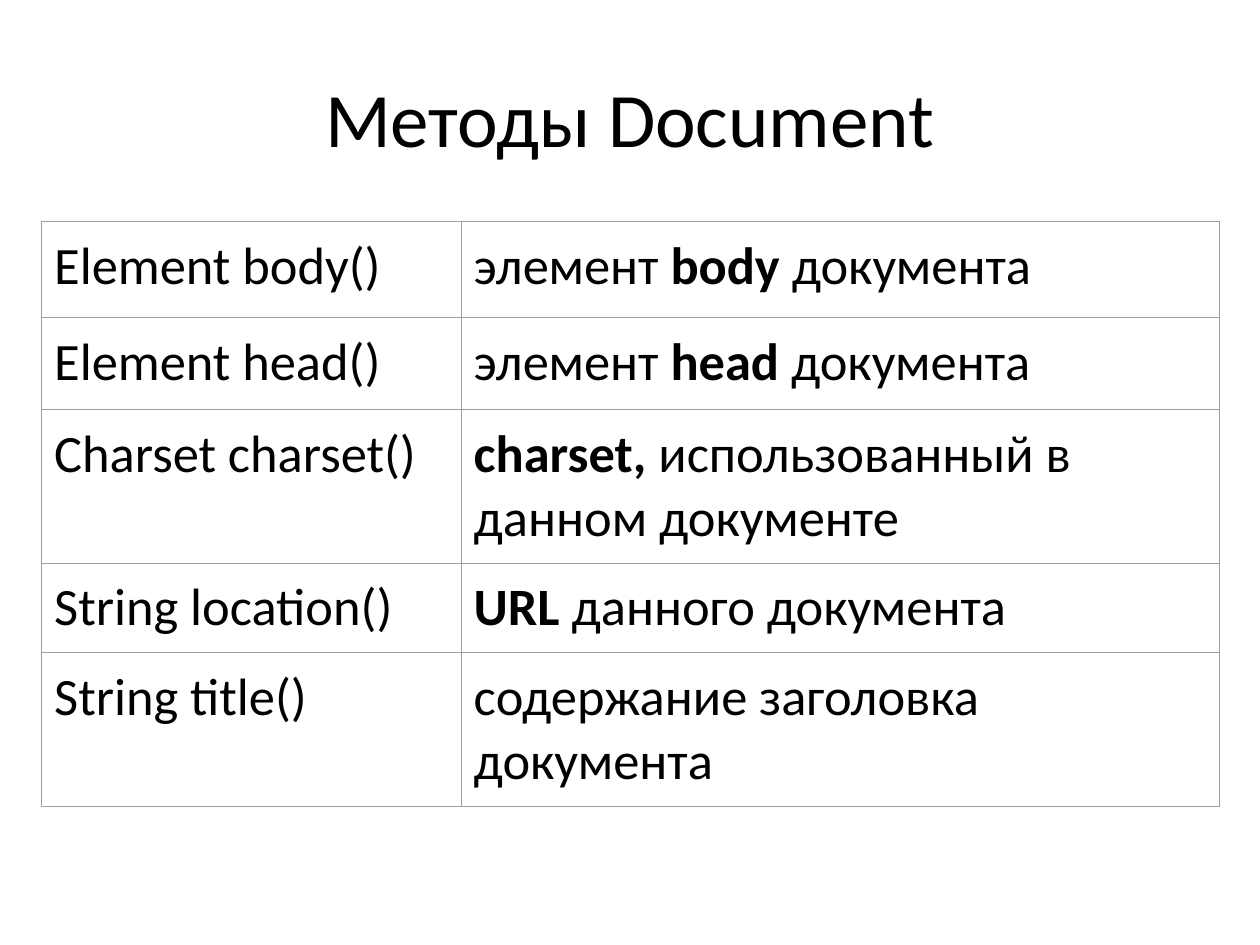
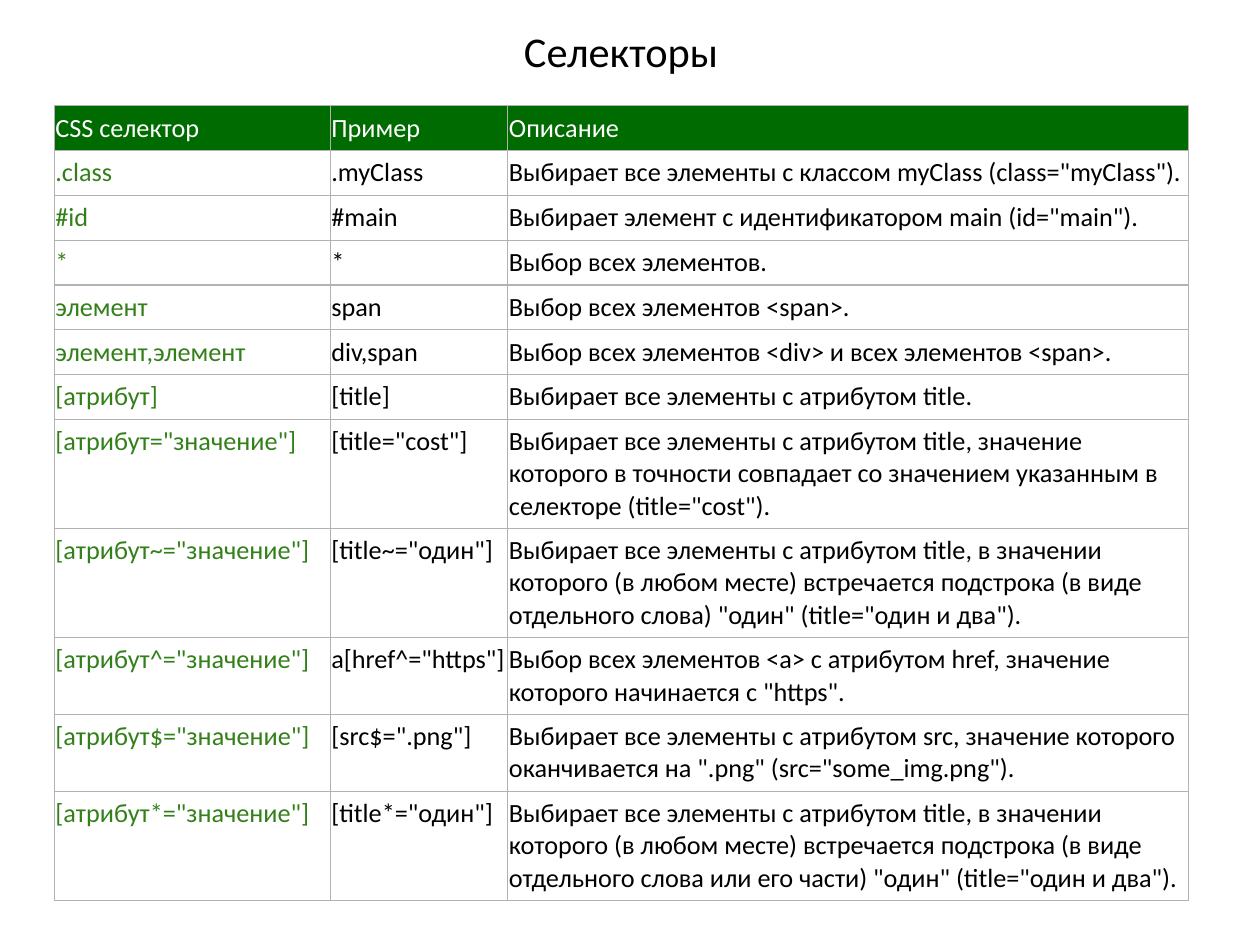
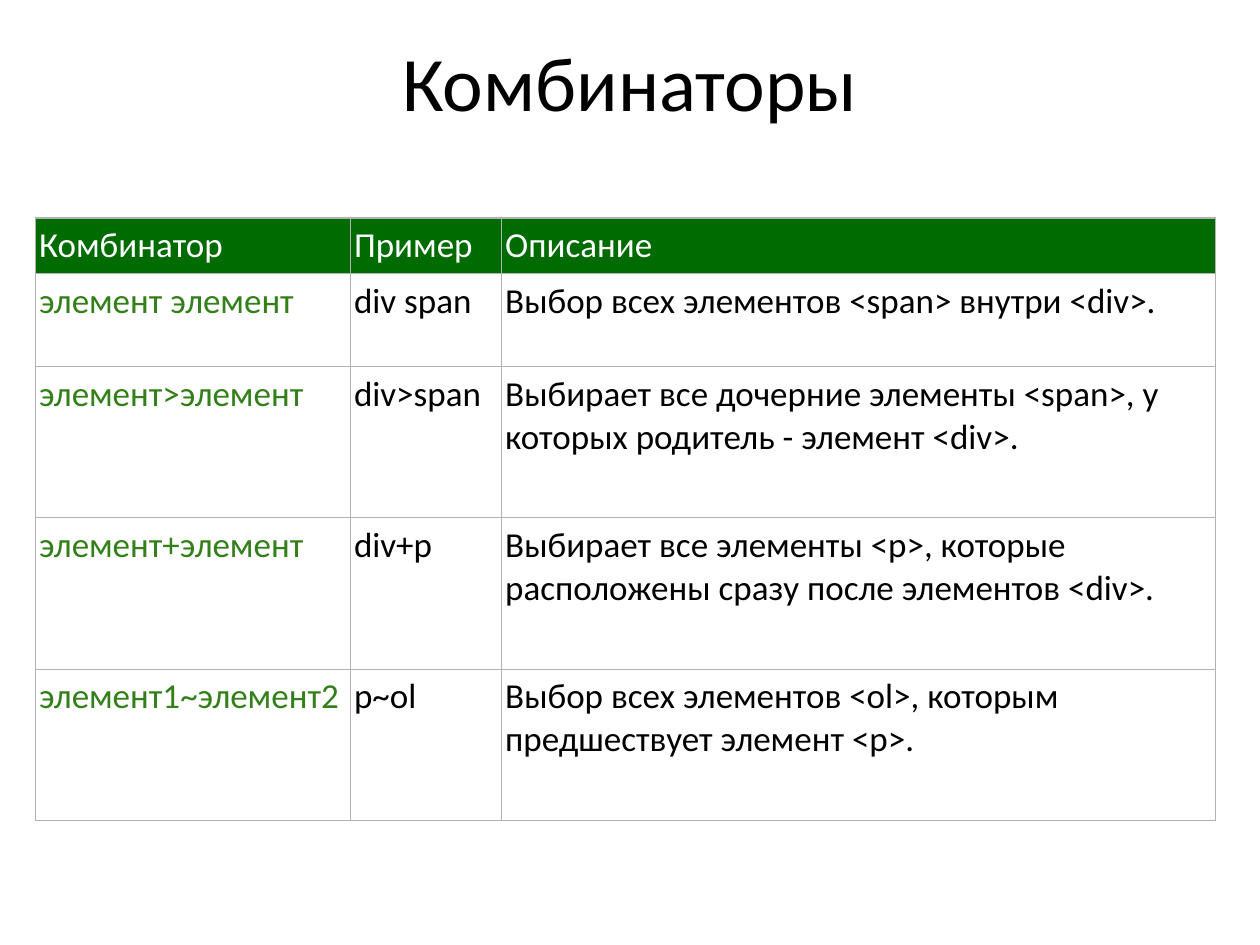
from lxml import etree
from pptx import Presentation
from pptx.dml.color import RGBColor
from pptx.enum import text
from pptx.oxml import ns
from pptx.util import Inches, Pt

COLORS = {
    "black": "000000",
    "white": "FFFFFF",
    "header": "006B00",
    "selector": "33801A",
    "gray_border": "9E9E9E",
    "light_border": "B2B2B2",
}
FONT = "Calibri"

METHODS = [
    ("Element body()", "элемент |body| документа"),
    ("Element head()", "элемент |head |документа"),
    ("Charset charset()", "|charset, |использованный в данном документе"),
    ("String location()", "|URL |данного документа"),
    ("String title()", "содержание заголовка документа"),
]
SELECTORS = [
    ("CSS селектор", "Пример", "Описание"),
    (".class", ".myClass", 'Выбирает все элементы с классом myClass (class="myClass").'),
    ("#id", "#main", 'Выбирает элемент с идентификатором main (id="main").'),
    ("*", "*", "Выбор всех элементов."),
    ("элемент", "span", "Выбор всех элементов <span>."),
    ("элемент,элемент", "div,span", "Выбор всех элементов <div> и всех элементов <span>."),
    ("[атрибут]", "[title]", "Выбирает все элементы с атрибутом title."),
    ('[атрибут="значение"]', '[title="cost"]',
     "Выбирает все элементы с атрибутом title, значение которого в точности "
     'совпадает со значением указанным в селекторе (title="cost").'),
    ('[атрибут~="значение"]', '[title~="один"]',
     "Выбирает все элементы с атрибутом title, в значении которого (в любом месте) "
     'встречается подстрока (в виде отдельного слова) "один" (title="один и два").'),
    ('[атрибут^="значение"]', 'a[href^="https"]',
     "Выбор всех элементов <a> с атрибутом href, значение которого "
     'начинается с "https".'),
    ('[атрибут$="значение"]', '[src$=".png"]',
     "Выбирает все элементы с атрибутом src, значение которого "
     'оканчивается на ".png" (src="some_img.png").'),
    ('[атрибут*="значение"]', '[title*="один"]',
     "Выбирает все элементы с атрибутом title, в значении которого (в любом месте) "
     "встречается подстрока (в виде отдельного слова или его части) "
     '"один" (title="один и два").'),
]
COMBINATORS = [
    ("Комбинатор", "Пример", "Описание"),
    ("элемент элемент", "div span", "Выбор всех элементов <span> внутри <div>."),
    ("элемент>элемент", "div>span",
     "Выбирает все дочерние элементы <span>, у которых родитель - элемент <div>."),
    ("элемент+элемент", "div+p",
     "Выбирает все элементы <p>, которые расположены сразу после элементов <div>."),
    ("элемент1~элемент2", "p~ol",
     "Выбор всех элементов <ol>, которым предшествует элемент <p>."),
]

SLIDES = [
    dict(title="Методы Document", title_box=(0.5, 0.3, 9, 1.25), title_size=44, spacing=1,
         rows=METHODS, corner=(0.33, 1.76), widths=(3.33, 6.02),
         heights=(0.76, 0.73, 1.22, 0.71, 1.22), margins=(0.1, 0.1),
         size=30, border="gray_border", header=False),
    dict(title="Селекторы", title_box=(0.43, 0.21, 9, 0.46), title_size=24.2, spacing=0.8,
         rows=SELECTORS, corner=(0.43, 0.84), widths=(2.19, 1.41, 5.4),
         heights=[0.35] * 7 + [0.86, 0.86, 0.61, 0.61, 0.86], margins=(0.01, 0.05),
         size=15, border="light_border", header=True),
    dict(title="Комбинаторы", title_box=(0.5, 0.3, 9, 0.77), title_size=44, spacing=0.9,
         rows=COMBINATORS, corner=(0.28, 1.73), widths=(2.5, 1.2, 5.67),
         heights=(0.44, 0.74, 1.2, 1.2, 1.2), margins=(0.03, 0.05),
         size=20, border="light_border", header=True),
]


def add_run(paragraph, content, size, color, bold=False):
    run = paragraph.add_run()
    run.text = content
    run.font.name = FONT
    run.font.size = Pt(size)
    run.font.bold = bold
    run.font.color.rgb = RGBColor.from_string(COLORS[color])


def set_borders(cell, color):
    properties = cell._tc.get_or_add_tcPr()
    for side in ("a:lnL", "a:lnR", "a:lnT", "a:lnB"):
        line = etree.SubElement(properties, ns.qn(side), w=str(Pt(0.75)))
        fill = etree.SubElement(line, ns.qn("a:solidFill"))
        etree.SubElement(fill, ns.qn("a:srgbClr"), val=COLORS[color])


presentation = Presentation()
presentation.slide_width = Inches(10)
presentation.slide_height = Inches(7.5)

for content in SLIDES:
    slide = presentation.slides.add_slide(presentation.slide_layouts[5])
    title = slide.shapes.title
    title.left, title.top, title.width, title.height = map(Inches, content["title_box"])
    frame = title.text_frame
    frame.auto_size = text.MSO_AUTO_SIZE.NONE
    frame.word_wrap = True
    frame.vertical_anchor = text.MSO_ANCHOR.MIDDLE
    paragraph = frame.paragraphs[0]
    paragraph.alignment = text.PP_ALIGN.CENTER
    paragraph.line_spacing = content["spacing"]
    add_run(paragraph, content["title"], content["title_size"], "black")

    rows, widths, heights = content["rows"], content["widths"], content["heights"]
    table = slide.shapes.add_table(
        len(rows), len(widths), *map(Inches, content["corner"]),
        Inches(sum(widths)), Inches(sum(heights))).table
    table.first_row = content["header"]
    table.horz_banding = False
    for column, width in zip(table.columns, widths):
        column.width = Inches(width)
    for row, height in zip(table.rows, heights):
        row.height = Inches(height)

    side_margin, end_margin = map(Inches, content["margins"])
    for row_index, row in enumerate(rows):
        for column_index, cell_text in enumerate(row):
            cell = table.cell(row_index, column_index)
            cell.margin_left = cell.margin_right = side_margin
            cell.margin_top = cell.margin_bottom = end_margin
            set_borders(cell, content["border"])
            color, fill = "black", "white"
            if content["header"] and row_index == 0:
                color, fill = "white", "header"
            elif content["header"] and column_index == 0:
                color = "selector"
            if content["header"]:
                cell.fill.solid()
                cell.fill.fore_color.rgb = RGBColor.from_string(COLORS[fill])
            else:
                cell.fill.background()
            paragraph = cell.text_frame.paragraphs[0]
            for part_index, part in enumerate(cell_text.split("|")):
                if part:
                    add_run(paragraph, part, content["size"], color, part_index % 2 == 1)

presentation.save("out.pptx")
